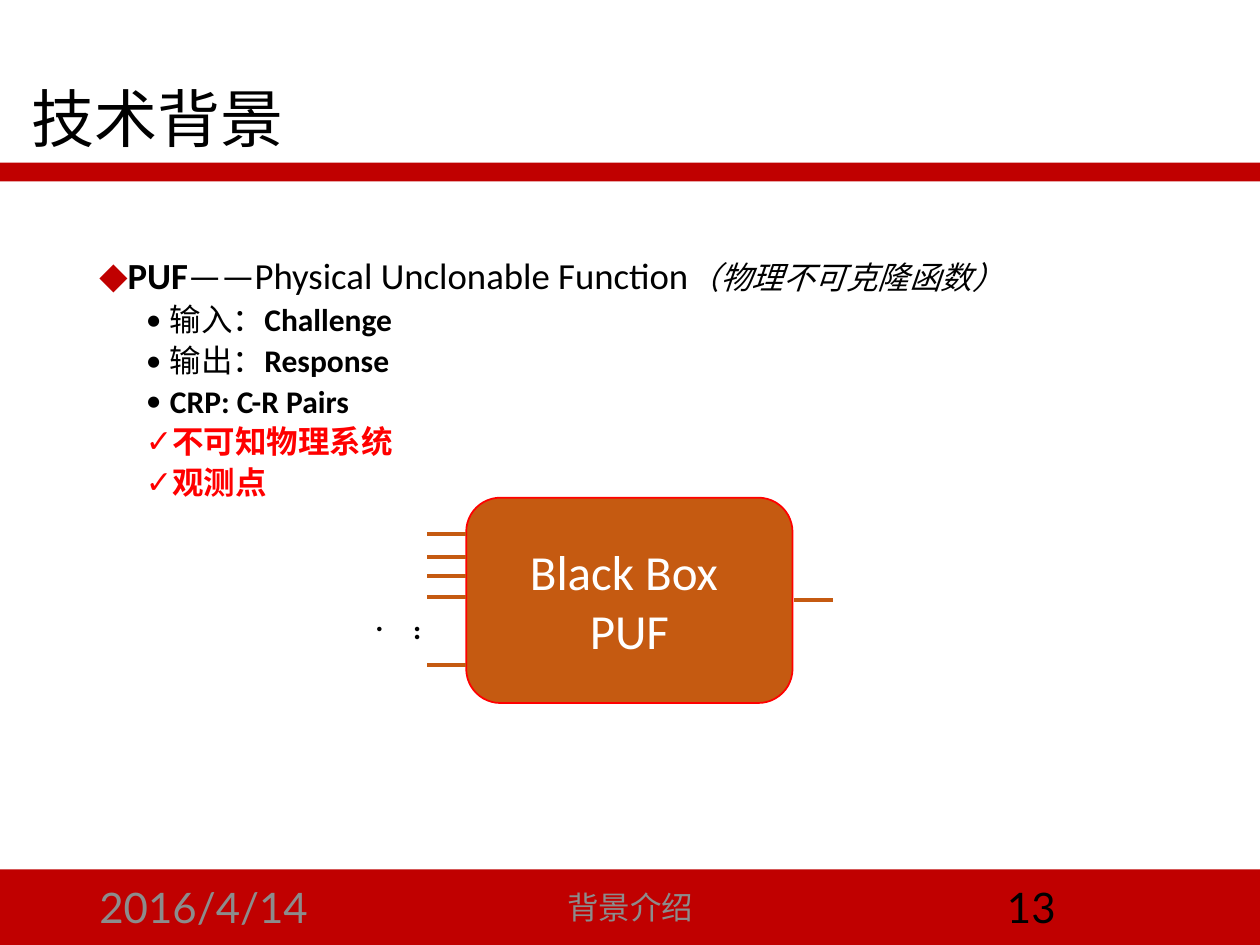
from pptx import Presentation
from pptx.dml.color import RGBColor
from pptx.enum.shapes import MSO_CONNECTOR as Connector, MSO_SHAPE as Shape
from pptx.enum.text import MSO_ANCHOR as Anchor, PP_ALIGN as Align
from pptx.oxml.ns import qn
from pptx.util import Inches, Pt
from lxml.etree import SubElement

RED = RGBColor(0xC0, 0x00, 0x00)
BRIGHT_RED = RGBColor(0xFF, 0x00, 0x00)
BROWN = RGBColor(0xC5, 0x5A, 0x11)
GRAY = RGBColor(0x8C, 0x8C, 0x8C)
BLACK = RGBColor(0x00, 0x00, 0x00)
WHITE = RGBColor(0xFF, 0xFF, 0xFF)
CJK = "Noto Sans CJK SC"

presentation = Presentation()
presentation.slide_width, presentation.slide_height = Inches(10), Inches(7.5)
slide = presentation.slides.add_slide(presentation.slide_layouts[6])

# Grid of 100 columns by 75 rows
COLUMN = presentation.slide_width / 100
ROW = presentation.slide_height / 75


def grid(left, top, width, height):
    return [int(left * COLUMN), int(top * ROW), int(width * COLUMN), int(height * ROW)]


def add_run(paragraph, text, color, **formats):
    run = paragraph.add_run()
    run.text = text
    run.font.color.rgb = color
    for name, value in formats.items():
        setattr(run.font, name, value)
    SubElement(run.font._element, qn("a:ea")).set("typeface", CJK)


# Red bands: footer and title rule
for top, height in [(69, 6), (12.9, 1.5)]:
    band = slide.shapes.add_shape(Shape.RECTANGLE, *grid(0, top, 100, height))
    band.shadow.inherit = False
    band.fill.solid()
    band.fill.fore_color.rgb = RED
    band.line.fill.background()

# Title and footer texts
labels = [
    ("技术背景", (1.5, 6.5, 75.1, 6.4), 36, "TeX Gyre Schola", BLACK, Align.LEFT),
    ("2016/4/14", (6.9, 70, 22.5, 4), 24, "Lato", GRAY, Align.LEFT),
    ("背景介绍", (33.1, 70, 33.8, 4), 18, CJK, GRAY, Align.CENTER),
    ("13", (70.6, 70, 22.5, 4), 24, "Lato", BLACK, Align.CENTER),
]
for text, place, size, font, color, alignment in labels:
    frame = slide.shapes.add_textbox(*grid(*place)).text_frame
    frame.word_wrap = True
    frame.vertical_anchor = Anchor.MIDDLE
    paragraph = frame.paragraphs[0]
    paragraph.alignment = alignment
    paragraph.line_spacing = 0.9 if size == 36 else 1.0
    add_run(paragraph, text, color, size=Pt(size), name=font)

# Bulleted body: level, bullet, bullet colour, runs of (text, colour, formats)
large, bold, italic = {"size": Pt(21)}, {"bold": True}, {"italic": True}
body = [
    (0, "◆", RED, [("PUF", BLACK, large | bold),
                   ("——Physical Unclonable Function", BLACK, large),
                   ("（", BLACK, italic),
                   ("物理不可克隆函数", BLACK, italic | {"name": CJK}),
                   ("）", BLACK, italic)]),
    (1, "•", BLACK, [("输入：", BLACK, {}), ("Challenge", BLACK, bold)]),
    (1, "•", BLACK, [("输出：", BLACK, {}), ("Response", BLACK, bold)]),
    (1, "•", BLACK, [("CRP: C-R Pairs", BLACK, bold)]),
    (1, "✓", BRIGHT_RED, [("不可知物理系统", BRIGHT_RED, bold)]),
    (1, "✓", BRIGHT_RED, [("观测点", BRIGHT_RED, bold)]),
]
frame = slide.shapes.add_textbox(*grid(6.9, 20, 86.2, 47.6)).text_frame
frame.word_wrap = True
for index, (level, bullet, bullet_color, runs) in enumerate(body):
    paragraph = frame.add_paragraph() if index else frame.paragraphs[0]
    paragraph.level = level
    paragraph.line_spacing = 0.9
    paragraph.space_before = Pt(3.8 if index else 0)
    properties = paragraph._p.get_or_add_pPr()
    properties.set("marL", str(Inches(0.56 if level else 0.19)))
    properties.set("indent", str(Inches(-0.19)))
    color_element = SubElement(properties, qn("a:buClr"))
    SubElement(color_element, qn("a:srgbClr")).set("val", str(bullet_color))
    SubElement(properties, qn("a:buFont")).set("typeface", "Calibri")
    SubElement(properties, qn("a:buChar")).set("char", bullet)
    for text, color, formats in runs:
        add_run(paragraph, text, color, **({"size": Pt(18), "name": "Calibri"} | formats))

# Black box
box = slide.shapes.add_shape(Shape.ROUNDED_RECTANGLE, *grid(37, 39.5, 25.9, 16.3))
box.shadow.inherit = False
box.fill.solid()
box.fill.fore_color.rgb = BROWN
box.line.color.rgb = BRIGHT_RED
box.line.width = Pt(1)
box.text_frame.vertical_anchor = Anchor.MIDDLE
for index, text in enumerate(["Black Box ", "PUF"]):
    paragraph = box.text_frame.add_paragraph() if index else box.text_frame.paragraphs[0]
    paragraph.alignment = Align.CENTER
    add_run(paragraph, text, WHITE, size=Pt(28), name="Calibri")

# Input wires on the left, output wire on the right
wires = [(37, row) for row in (42.4, 44.2, 45.7, 47.4, 52.8)] + [(66.1, 47.6)]
for right, row in wires:
    left, top, length, _ = grid(right - 3.1, row, 3.1, 0)
    wire = slide.shapes.add_connector(Connector.STRAIGHT, left + length, top, left, top)
    wire.line.color.rgb = BROWN
    wire.line.width = Pt(2.25)
    SubElement(wire._element.spPr, qn("a:effectLst"))

# Vertical dots between the inputs
frame = slide.shapes.add_textbox(*grid(30.4, 48.7, 5, 3.3)).text_frame
frame.word_wrap = True
frame._txBody.bodyPr.set("vert", "eaVert")
add_run(frame.paragraphs[0], "···", BLACK, size=Pt(18), name="Calibri")

presentation.save("out.pptx")
